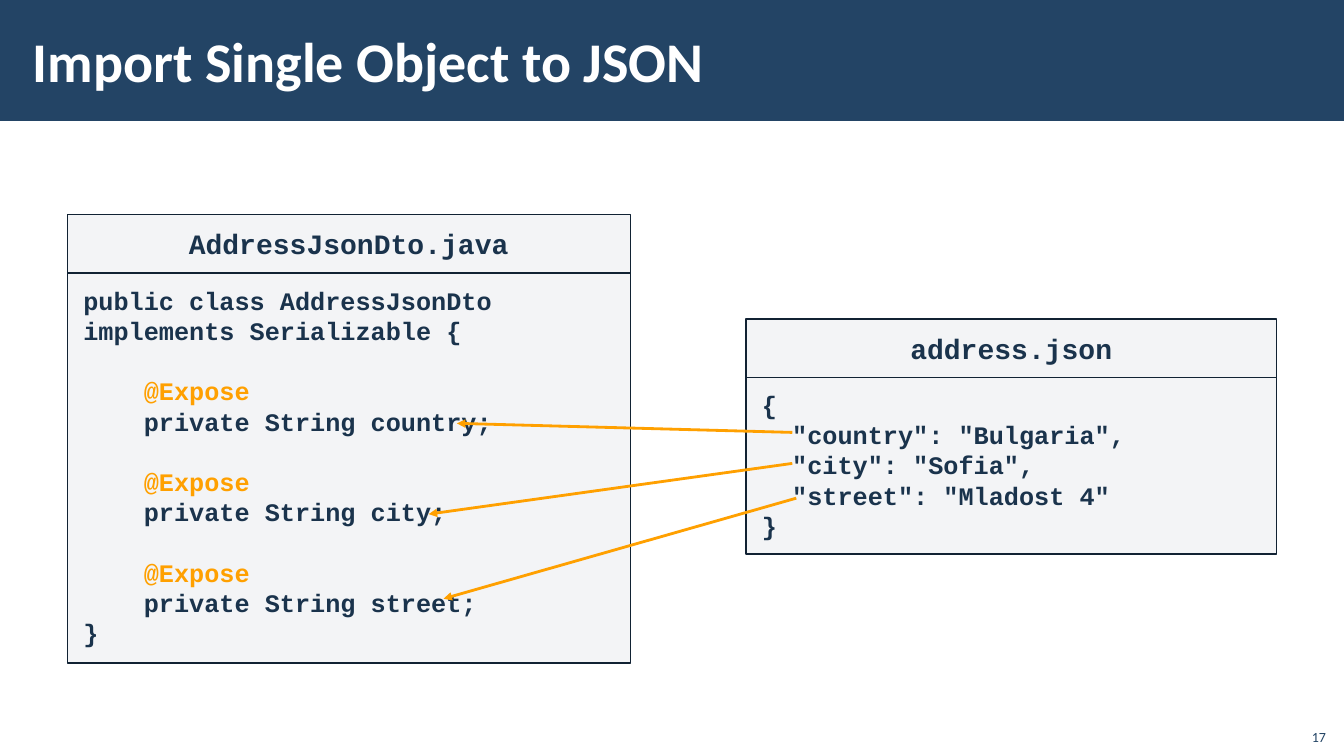
"""Build a slide that maps JSON properties to the fields of a Java class."""
from lxml.etree import SubElement
from pptx import Presentation
from pptx.dml.color import RGBColor
from pptx.enum.shapes import MSO_CONNECTOR, MSO_SHAPE
from pptx.enum.text import MSO_ANCHOR, PP_ALIGN
from pptx.oxml.ns import qn
from pptx.util import Inches, Pt

NAVY = RGBColor(0x23, 0x44, 0x65)
INK = RGBColor(0x1A, 0x33, 0x4C)
BORDER = RGBColor(0x11, 0x22, 0x33)
PANEL = RGBColor(0xF3, 0xF4, 0xF6)
ORANGE = RGBColor(0xFF, 0xA0, 0x00)
WHITE = RGBColor(0xFF, 0xFF, 0xFF)

CODE_SIZE = 18
CHARACTER = Pt(CODE_SIZE * 0.6)
BLANK_LINE = Pt(CODE_SIZE * 1.2)
HEADER_ROWS = 7.7

presentation = Presentation()
presentation.slide_width = Inches(13.33)
presentation.slide_height = Inches(7.5)
COLUMN = presentation.slide_width / 100
ROW = presentation.slide_height / 100
slide = presentation.slides.add_slide(presentation.slide_layouts[5])


def grid(left, top, width, height):
    return int(left * COLUMN), int(top * ROW), int(width * COLUMN), int(height * ROW)


def style_text(paragraph, font_name, size, color, bold=True):
    for run in paragraph.runs:
        run.font.name = font_name
        run.font.size = Pt(size)
        run.font.bold = bold
        run.font.color.rgb = color


title = slide.shapes.title
title.left, title.top, title.width, title.height = grid(1.55, 1.5, 79.7, 12.9)
title_frame = title.text_frame
title_frame.text = "Import Single Object to JSON"
title_frame.vertical_anchor = MSO_ANCHOR.MIDDLE
title_frame.margin_left = title_frame.margin_right = Inches(0.12)
title_frame.paragraphs[0].alignment = PP_ALIGN.LEFT
style_text(title_frame.paragraphs[0], "Calibri", 40, WHITE)

band = slide.shapes.add_shape(MSO_SHAPE.RECTANGLE, *grid(0, 0, 100, 16))
band.shadow.inherit = False
band.fill.solid()
band.fill.fore_color.rgb = NAVY
band.line.fill.background()
title.element.addprevious(band.element)

java_lines = [(0, "public class AddressJsonDto implements Serializable {")]
for field in ("country", "city", "street"):
    java_lines += [(4, "@Expose"), (4, f"private String {field};")]
java_lines.append((0, "}"))

json_lines = [
    (0, "{"),
    (2, '"country": "Bulgaria",'),
    (2, '"city": "Sofia",'),
    (2, '"street": "Mladost 4"'),
    (0, "}"),
]

files = [
    ("AddressJsonDto.java", java_lines, 5, 28.4, 41.9, 51.6),
    ("address.json", json_lines, 55.5, 42.2, 39.5, 23.4),
]
for file_name, code_lines, left, top, width, code_rows in files:
    code_area = grid(left, top + HEADER_ROWS, width, code_rows)
    header_area = grid(left, top, width, HEADER_ROWS)
    code, header = [
        slide.shapes.add_shape(MSO_SHAPE.RECTANGLE, *area)
        for area in (code_area, header_area)
    ]
    for box in (code, header):
        box.shadow.inherit = False
        box.fill.solid()
        box.fill.fore_color.rgb = PANEL
        box.line.color.rgb = BORDER
        box.line.width = Pt(1)
        frame = box.text_frame
        frame.word_wrap = True
        frame.vertical_anchor = MSO_ANCHOR.TOP
        frame.margin_left = frame.margin_right = Inches(0.16)
        frame.margin_top = frame.margin_bottom = Inches(0.12)

    header.text_frame.text = file_name
    heading = header.text_frame.paragraphs[0]
    heading.alignment = PP_ALIGN.CENTER
    style_text(heading, "Courier New", 20, INK)

    code.text_frame.text = "\n".join(text for _, text in code_lines)
    for paragraph, (indent, text) in zip(code.text_frame.paragraphs, code_lines):
        annotation = text.startswith("@")
        paragraph.alignment = PP_ALIGN.LEFT
        paragraph.space_before = BLANK_LINE if annotation else Pt(0)
        paragraph._p.get_or_add_pPr().set("marL", str(indent * CHARACTER))
        style_text(paragraph, "Courier New", CODE_SIZE, ORANGE if annotation else INK)

arrows = [
    (58.95, 57.2, 34, 56),
    (58.95, 61.3, 31.9, 68),
    (59.25, 65.9, 33, 79.2),
]
for ends in arrows:
    arrow = slide.shapes.add_connector(MSO_CONNECTOR.STRAIGHT, *grid(*ends))
    arrow.line.color.rgb = ORANGE
    arrow.line.width = Pt(2)
    SubElement(arrow.line._get_or_add_ln(), qn("a:tailEnd"), type="triangle")
    SubElement(arrow.element.spPr, qn("a:effectLst"))

page_number = slide.shapes.add_textbox(*grid(96.4, 94.9, 3, 4.3))
page_number.text_frame.text = "17"
page_number.text_frame.word_wrap = True
page_number.text_frame.vertical_anchor = MSO_ANCHOR.BOTTOM
page_number.text_frame.paragraphs[0].alignment = PP_ALIGN.RIGHT
style_text(page_number.text_frame.paragraphs[0], "Calibri", 10, NAVY, bold=False)

presentation.save("out.pptx")
